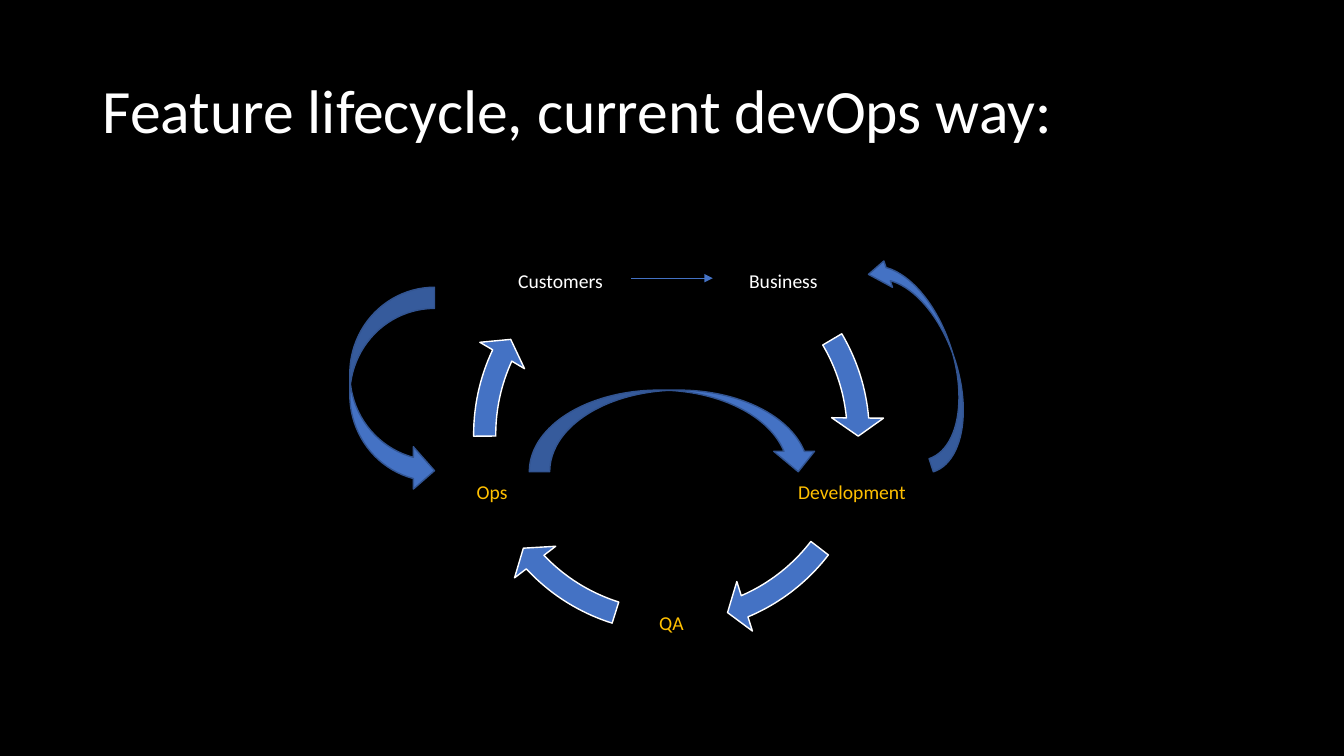
from lxml import etree
from pptx import Presentation
from pptx.dml.color import RGBColor
from pptx.enum.shapes import MSO_CONNECTOR, MSO_SHAPE
from pptx.enum.text import MSO_ANCHOR as ANCHOR, PP_ALIGN as ALIGN
from pptx.oxml.ns import qn
from pptx.util import Inches, Pt

FONT = "Calibri"
BLACK, WHITE, GOLD = "000000", "FFFFFF", "FFC000"
BLUE, DARK_BLUE = "4472C4", "325491"

# Stage name, left, top, colour
STAGES = [
    ("Customers", 5, 2.24, WHITE),
    ("Business", 7.21, 2.24, WHITE),
    ("Development", 7.89, 4.33, GOLD),
    ("QA", 6.1, 5.63, GOLD),
    ("Ops", 4.32, 4.33, GOLD),
]
STAGE_SIZE = 1.12

# Ring arrows clockwise from Business: start and end angle in degrees
RING_BOX = (4.55, 2.2, 4.22, 4.22)
RING_ARCS = [(329.4, 354.93), (37.52, 66.95), (107.46, 136.89), (179.48, 205.01)]
ANGLE_UNIT = 0.6  # adjustment value per degree


def rgb(color):
    return RGBColor.from_string(color)


def add_text(slide, text, box, size, color, inset=None, align=ALIGN.LEFT):
    tf = slide.shapes.add_textbox(*map(Inches, box)).text_frame
    tf.word_wrap = True
    tf.vertical_anchor = ANCHOR.MIDDLE
    if inset is not None:
        tf.margin_left = tf.margin_right = Inches(inset)
        tf.margin_top = tf.margin_bottom = Inches(inset)
    p = tf.paragraphs[0]
    p.text = text
    p.alignment = align
    p.line_spacing = 0.9
    p.font.name = FONT
    p.font.size = Pt(size)
    p.font.color.rgb = rgb(color)


def add_block_arrow(slide, kind, box, line, adjustments=(), rotation=0, flip=None):
    sp = slide.shapes.add_shape(kind, *map(Inches, box))
    sp.shadow.inherit = False
    sp.fill.solid()
    sp.fill.fore_color.rgb = rgb(BLUE)
    sp.line.color.rgb = rgb(line)
    sp.line.width = Pt(1)
    for i, value in enumerate(adjustments):
        sp.adjustments[i] = value
    sp.rotation = rotation
    if flip:
        sp.element.spPr.find(qn("a:xfrm")).set(flip, "1")


def add_thin_arrow(slide, x1, y1, x2, y2):
    cn = slide.shapes.add_connector(
        MSO_CONNECTOR.STRAIGHT, *map(Inches, (x1, y1, x2, y2)))
    cn.line.color.rgb = rgb(BLUE)
    cn.line.width = Pt(0.5)
    etree.SubElement(cn.line._get_or_add_ln(), qn("a:tailEnd"), type="triangle")
    etree.SubElement(cn.element.spPr, qn("a:effectLst"))


def main():
    prs = Presentation()
    prs.slide_width, prs.slide_height = Inches(13.33), Inches(7.5)
    slide = prs.slides.add_slide(prs.slide_layouts[6])
    slide.background.fill.solid()
    slide.background.fill.fore_color.rgb = rgb(BLACK)

    # Title
    add_text(slide, "Feature lifecycle, current devOps way:",
             (0.92, 0.4, 11.5, 1.45), 44, WHITE)

    # Stages of the cycle
    for name, left, top, color in STAGES:
        add_text(slide, name, (left, top, STAGE_SIZE, STAGE_SIZE), 14, color,
                 inset=0.02, align=ALIGN.CENTER)

    # Ring of arrows between the stages
    for start, end in RING_ARCS:
        add_block_arrow(slide, MSO_SHAPE.CIRCULAR_ARROW, RING_BOX, WHITE,
                        (0.052, 3.353, end * ANGLE_UNIT, start * ANGLE_UNIT, 0.061))

    # Customers to Business
    add_thin_arrow(slide, 6.26, 2.76, 7.07, 2.76)

    # Shortcuts: Ops to Development, Development to Business, Customers to Ops
    add_block_arrow(slide, MSO_SHAPE.CURVED_DOWN_ARROW, (5.25, 3.87, 2.87, 0.81),
                    DARK_BLUE)
    add_block_arrow(slide, MSO_SHAPE.CURVED_LEFT_ARROW, (8.9, 2.45, 0.55, 2.2),
                    DARK_BLUE, (0.25, 0.5, 0.34), rotation=341.8, flip="flipV")
    add_block_arrow(slide, MSO_SHAPE.CURVED_LEFT_ARROW, (3.47, 2.85, 0.84, 2.03),
                    DARK_BLUE, flip="flipH")

    prs.save("out.pptx")


if __name__ == "__main__":
    main()
